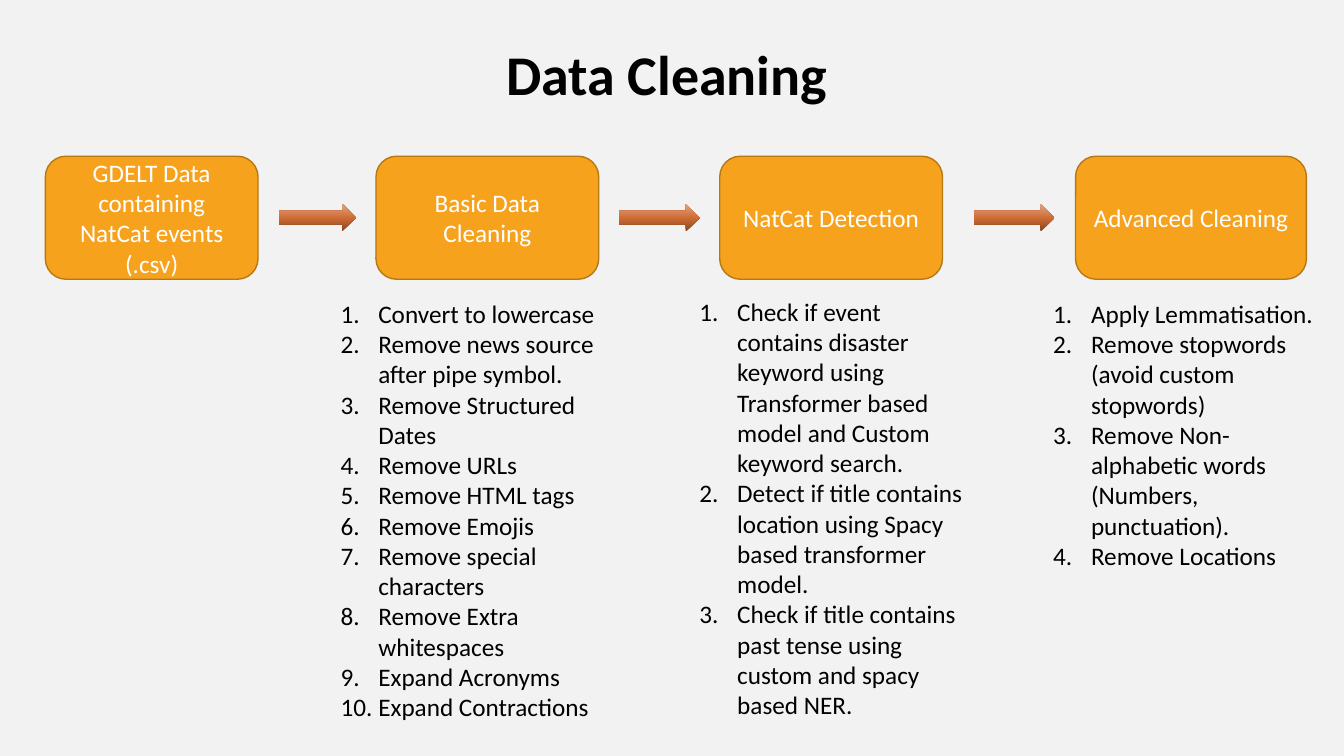
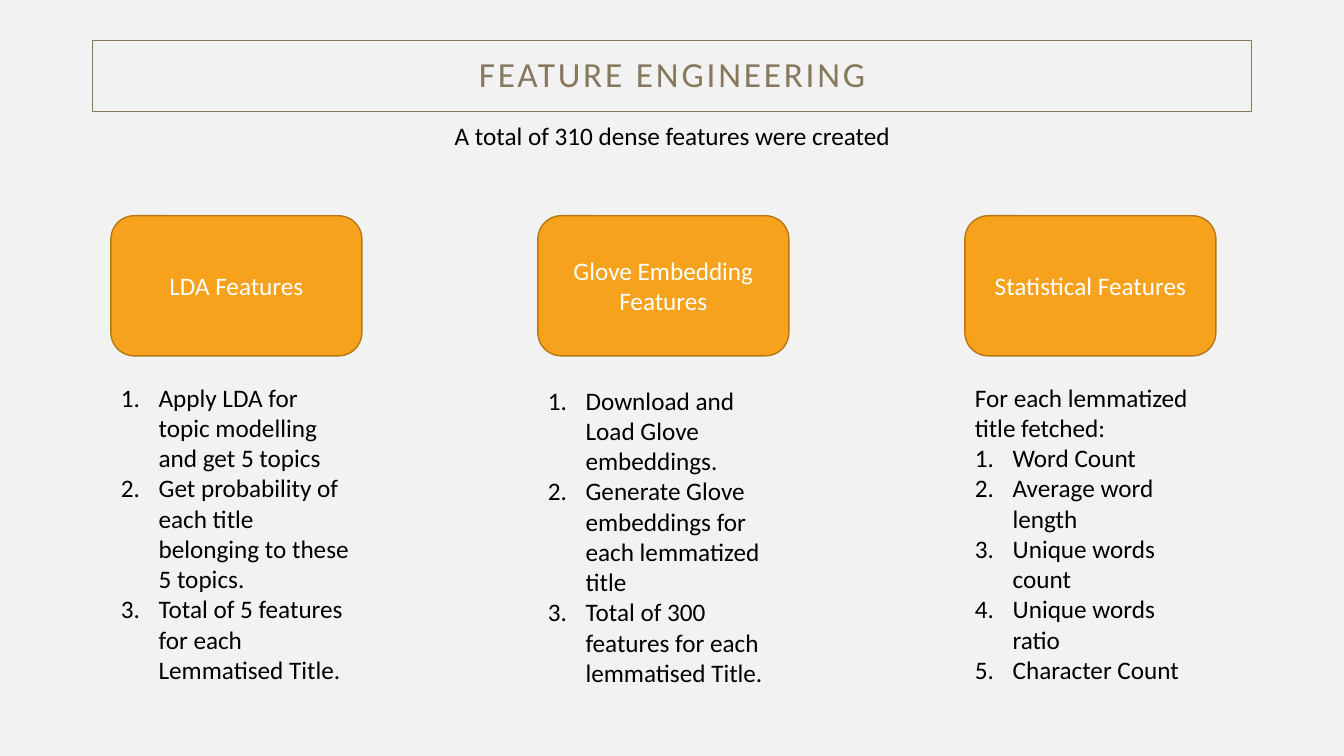
from copy import deepcopy
from dataclasses import dataclass

from lxml.etree import SubElement
from pptx import Presentation
from pptx.dml.color import RGBColor as RGB
from pptx.enum.shapes import MSO_SHAPE as SHAPE
from pptx.enum.text import MSO_ANCHOR as ANCHOR, MSO_AUTO_SIZE as FIT, PP_ALIGN as ALIGN
from pptx.oxml.ns import qn
from pptx.util import Inches, Pt

COLUMNS, ROWS = 133.33, 75  # grid cells of a tenth of an inch


@dataclass(frozen=True)
class Theme:
    font: str = "Calibri"
    background: RGB = RGB(0xF2, 0xF2, 0xF2)
    ink: RGB = RGB(0, 0, 0)
    box: RGB = RGB(0xF6, 0xA2, 0x1D)
    box_line: RGB = RGB(0xB6, 0x78, 0x15)
    box_text: RGB = RGB(0xFF, 0xFF, 0xFF)
    frame: RGB = RGB(0x87, 0x79, 0x5D)
    arrow: tuple = ((0, RGB(0x87, 0x45, 0x21)),
                    (0.48, RGB(0xCE, 0x6B, 0x34)),
                    (1, RGB(0xE0, 0xA3, 0x82)))
    heading_size: float = 40
    frame_size: float = 25.2
    body_size: float = 18


def cells(*counts):
    return [Inches(n / 10) for n in counts]


class Deck:
    def __init__(self, theme):
        self.theme = theme
        self.prs = Presentation()
        self.prs.slide_width, self.prs.slide_height = cells(COLUMNS, ROWS)
        self.s = None

    def slide(self):
        self.s = self.prs.slides.add_slide(self.prs.slide_layouts[6])
        fill = self.s.background.fill
        fill.solid()
        fill.fore_color.rgb = self.theme.background

    def set_lines(self, tf, lines, color, size=None, align=ALIGN.CENTER, bold=False):
        tf.word_wrap = True
        tf.text = "\n".join(lines)
        for p in tf.paragraphs:
            p.alignment = align
            for r in p.runs:
                r.font.name = self.theme.font
                r.font.size = Pt(size or self.theme.body_size)
                r.font.color.rgb = color
                r.font.bold = bold

    def text(self, x, y, w, h, lines, **style):
        tf = self.s.shapes.add_textbox(*cells(x, y, w, h)).text_frame
        self.set_lines(tf, lines, self.theme.ink, **style)
        tf.auto_size = FIT.SHAPE_TO_FIT_TEXT
        return tf

    def heading(self, text):
        self.text(2.7, 3.4, 126.9, 7.7, [text], size=self.theme.heading_size, bold=True)

    def framed_title(self, x, y, w, h, text):
        sp = self.shape(SHAPE.RECTANGLE, x, y, w, h)
        sp.fill.background()
        sp.line.color.rgb = self.theme.frame
        sp.line.width = Pt(0.75)
        tf = sp.text_frame
        tf.margin_left, tf.margin_top, tf.margin_right, tf.margin_bottom = cells(2, 2, 2, 2)
        self.set_lines(tf, [text], self.theme.frame, size=self.theme.frame_size)
        p = tf.paragraphs[0]
        p.line_spacing = 0.9
        p.runs[0].font._element.set("spc", "200")

    def numbered(self, x, y, w, h, items, intro=()):
        """A numbered list, after any unnumbered intro lines."""
        tf = self.text(x, y, w, h, [*intro, *items], align=ALIGN.LEFT)
        indent = Inches(0.375)
        for p in tf.paragraphs[len(intro):]:
            pPr = p._p.get_or_add_pPr()
            pPr.set("marL", str(indent))
            pPr.set("indent", str(-indent))
            SubElement(pPr, qn("a:buAutoNum"), type="arabicPeriod")

    def shape(self, kind, x, y, w, h):
        sp = self.s.shapes.add_shape(kind, *cells(x, y, w, h))
        sp.shadow.inherit = False
        return sp

    def box(self, x, y, w, h, lines):
        sp = self.shape(SHAPE.ROUNDED_RECTANGLE, x, y, w, h)
        sp.fill.solid()
        sp.fill.fore_color.rgb = self.theme.box
        sp.line.color.rgb = self.theme.box_line
        sp.line.width = Pt(1)
        sp.text_frame.vertical_anchor = ANCHOR.MIDDLE
        self.set_lines(sp.text_frame, lines, self.theme.box_text)

    def arrow(self, x, middle, w, h=2.7):
        sp = self.shape(SHAPE.RIGHT_ARROW, x, middle - h / 2, w, h)
        sp.line.fill.background()
        sp.fill.gradient()
        sp.fill.gradient_angle = 90
        stops = sp._element.spPr.find(".//" + qn("a:gsLst"))
        stops.append(deepcopy(stops[0]))
        for stop, (position, color) in zip(sp.fill.gradient_stops, self.theme.arrow):
            stop.position = position
            stop.color.rgb = color


def data_cleaning(deck):
    deck.slide()
    deck.heading("Data Cleaning")
    top, height = 15.5, 12.2
    for x, w in ((27.7, 7.6), (61.4, 8), (96.6, 8)):
        deck.arrow(x, top + height / 2, w)
    steps = (
        (4.5, 21.1, ["GDELT Data containing NatCat events", "(.csv)"]),
        (37.3, 22.1, ["Basic Data Cleaning"]),
        (71.4, 22.1, ["NatCat Detection"]),
        (106.7, 22.9, ["Advanced Cleaning"]),
    )
    for x, w, lines in steps:
        deck.box(x, top, w, height, lines)
    deck.numbered(32.8, 29.1, 31.3, 43.4, [
        "Convert to lowercase",
        "Remove news source after pipe symbol.",
        "Remove Structured Dates",
        "Remove URLs",
        "Remove HTML tags",
        "Remove Emojis",
        "Remove special characters",
        "Remove Extra whitespaces",
        "Expand Acronyms",
        "Expand Contractions",
    ])
    deck.numbered(68.4, 28.9, 28.8, 43.4, [
        "Check if event contains disaster keyword using Transformer based model "
        "and Custom keyword search.",
        "Detect if title contains location using Spacy based transformer model.",
        "Check if title contains past tense using custom and spacy based NER.",
    ])
    deck.numbered(103.5, 29.1, 28.1, 28.3, [
        "Apply Lemmatisation.",
        "Remove stopwords (avoid custom stopwords)",
        "Remove Non-alphabetic words (Numbers, punctuation).",
        "Remove Locations",
    ])


def feature_engineering(deck):
    deck.slide()
    left, width = 9.2, 115
    deck.framed_title(left, 4, width, 7.1, "FEATURE ENGINEERING")
    deck.text(left, 11.4, width, 4, ["A total of 310 dense features were created"])
    groups = (
        ("LDA Features", 37.4, (), [
            "Apply LDA for topic modelling and get 5 topics",
            "Get probability of each title belonging to these 5 topics.",
            "Total of 5 features for each Lemmatised Title.",
        ]),
        ("Glove Embedding Features", 37.7, (), [
            "Download and Load Glove embeddings.",
            "Generate Glove embeddings for each lemmatized title",
            "Total of 300 features for each lemmatised Title.",
        ]),
        ("Statistical Features", 37.4, ("For each lemmatized title fetched:",), [
            "Word Count",
            "Average word length",
            "Unique words count",
            "Unique words ratio",
            "Character Count",
        ]),
    )
    first, pitch, w = 11, 42.36, 24.9
    for i, (name, y, intro, items) in enumerate(groups):
        x = first + i * pitch
        deck.box(x, 21.4, w, 13.9, [name])
        deck.numbered(x, y, w, 31.3, items, intro)


def main():
    deck = Deck(Theme())
    data_cleaning(deck)
    feature_engineering(deck)
    deck.prs.save("out.pptx")


if __name__ == "__main__":
    main()
